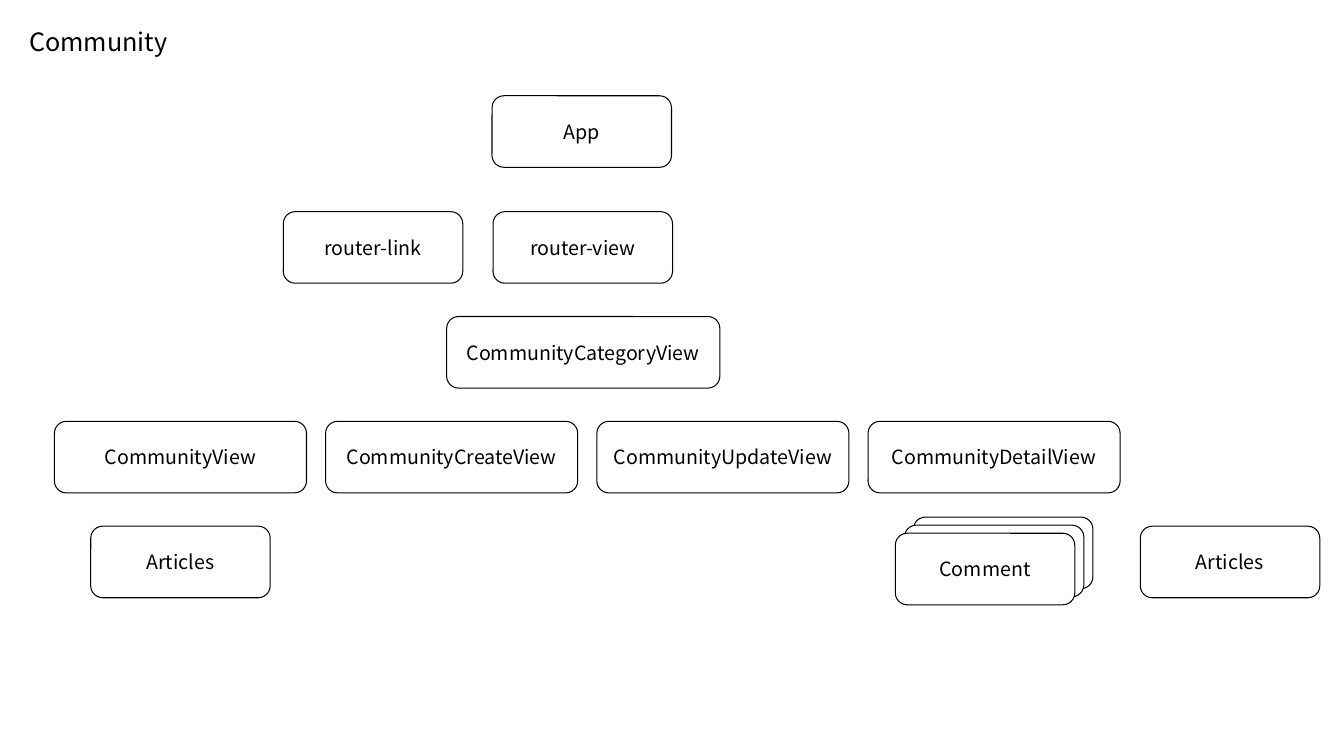
from pptx import Presentation
from pptx.dml.color import RGBColor
from pptx.enum.shapes import MSO_SHAPE
from pptx.enum.text import MSO_ANCHOR, MSO_AUTO_SIZE, PP_ALIGN
from pptx.util import Inches, Pt

ROUNDED = MSO_SHAPE.ROUNDED_RECTANGLE
MIDDLE, TOP = MSO_ANCHOR.MIDDLE, MSO_ANCHOR.TOP
CENTER, LEFT = PP_ALIGN.CENTER, PP_ALIGN.LEFT
NO_AUTOFIT = MSO_AUTO_SIZE.NONE

BLACK = RGBColor(0x00, 0x00, 0x00)
WHITE = RGBColor(0xFF, 0xFF, 0xFF)
FONT = "Noto Sans CJK KR"

# Grid in inches: four view columns, and component rows below the app
COLUMN_LEFT, COLUMN_PITCH = 0.54, 2.69
ROW_TOP, ROW_PITCH = 2.1, 1.04
BOX_HEIGHT = 0.71
NARROW, VIEW, CATEGORY = 1.78, 2.5, 2.71
STACK_STEP_X, STACK_STEP_Y = 0.09, 0.08


def column(number):
    return COLUMN_LEFT + number * COLUMN_PITCH


def row(number):
    return ROW_TOP + number * ROW_PITCH


class ComponentSlide:
    """Holds the slide and the style of its elements."""

    def __init__(self, presentation):
        self.slide = presentation.slides.add_slide(presentation.slide_layouts[5])

    def set_text(self, shape, text, size, alignment, anchor):
        frame = shape.text_frame
        frame.text = text
        frame.word_wrap = True
        frame.vertical_anchor = anchor
        paragraph = frame.paragraphs[0]
        paragraph.alignment = alignment
        font = paragraph.runs[0].font
        font.name, font.size = FONT, Pt(size)
        font.color.rgb = BLACK

    def title(self, text, left, top, width, height):
        shape = self.slide.shapes.title
        shape.left, shape.top = Inches(left), Inches(top)
        shape.width, shape.height = Inches(width), Inches(height)
        self.set_text(shape, text, 18, LEFT, TOP)
        shape.text_frame.auto_size = NO_AUTOFIT

    def box(self, text, left, top, width=NARROW, shapes=None):
        shapes = shapes or self.slide.shapes
        shape = shapes.add_shape(ROUNDED, Inches(left), Inches(top),
                                 Inches(width), Inches(BOX_HEIGHT))
        shape.shadow.inherit = False
        shape.fill.solid()
        shape.fill.fore_color.rgb = WHITE
        shape.line.color.rgb = BLACK
        shape.line.width = Pt(0.75)
        if text:
            self.set_text(shape, text, 14, CENTER, MIDDLE)

    def stack(self, text, left, top, count):
        # An empty group is falsy, so its first card needs an explicit target
        group = self.slide.shapes.add_group_shape()
        for depth in reversed(range(count)):
            self.box("" if depth else text, left + depth * STACK_STEP_X,
                     top - depth * STACK_STEP_Y, shapes=group.shapes)


def main():
    presentation = Presentation()
    presentation.slide_width = Inches(13.33)
    presentation.slide_height = Inches(7.5)
    page = ComponentSlide(presentation)

    page.title("Community", 0.19, 0.21, 2.99, 0.4)

    # App and its router
    page.box("App", 4.88, 0.95)
    page.box("router-link", 2.81, row(0))
    page.box("router-view", 4.89, row(0))

    # Views
    page.box("CommunityCategoryView", 4.43, row(1), CATEGORY)
    views = ("CommunityView", "CommunityCreateView",
             "CommunityUpdateView", "CommunityDetailView")
    for number, name in enumerate(views):
        page.box(name, column(number), row(2), VIEW)

    # Components inside the views
    page.box("Articles", column(0) + (VIEW - NARROW) / 2, row(3))
    page.stack("Comment", 8.88, 5.29, 3)
    page.box("Articles", 11.31, row(3))

    presentation.save("out.pptx")


if __name__ == "__main__":
    main()
